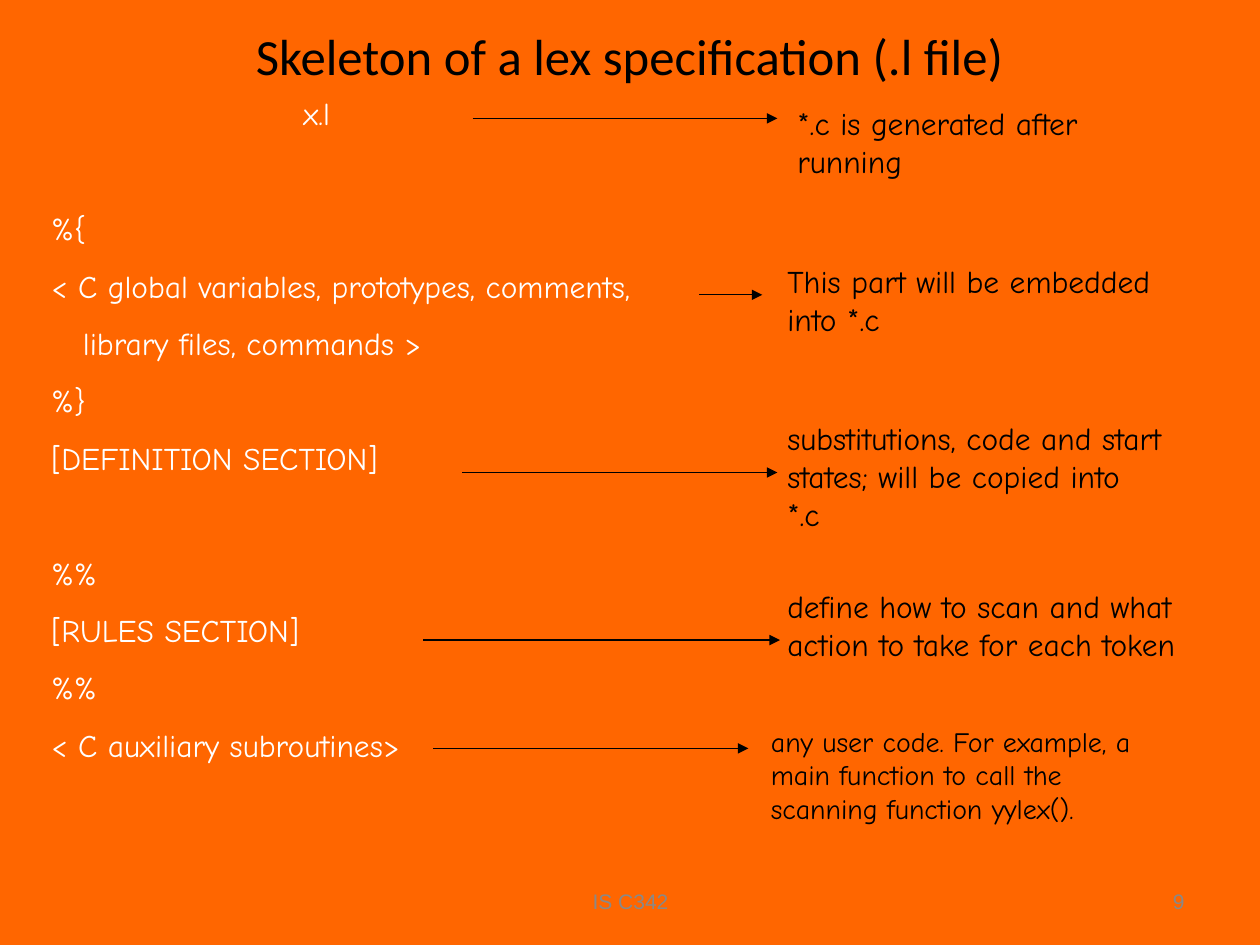
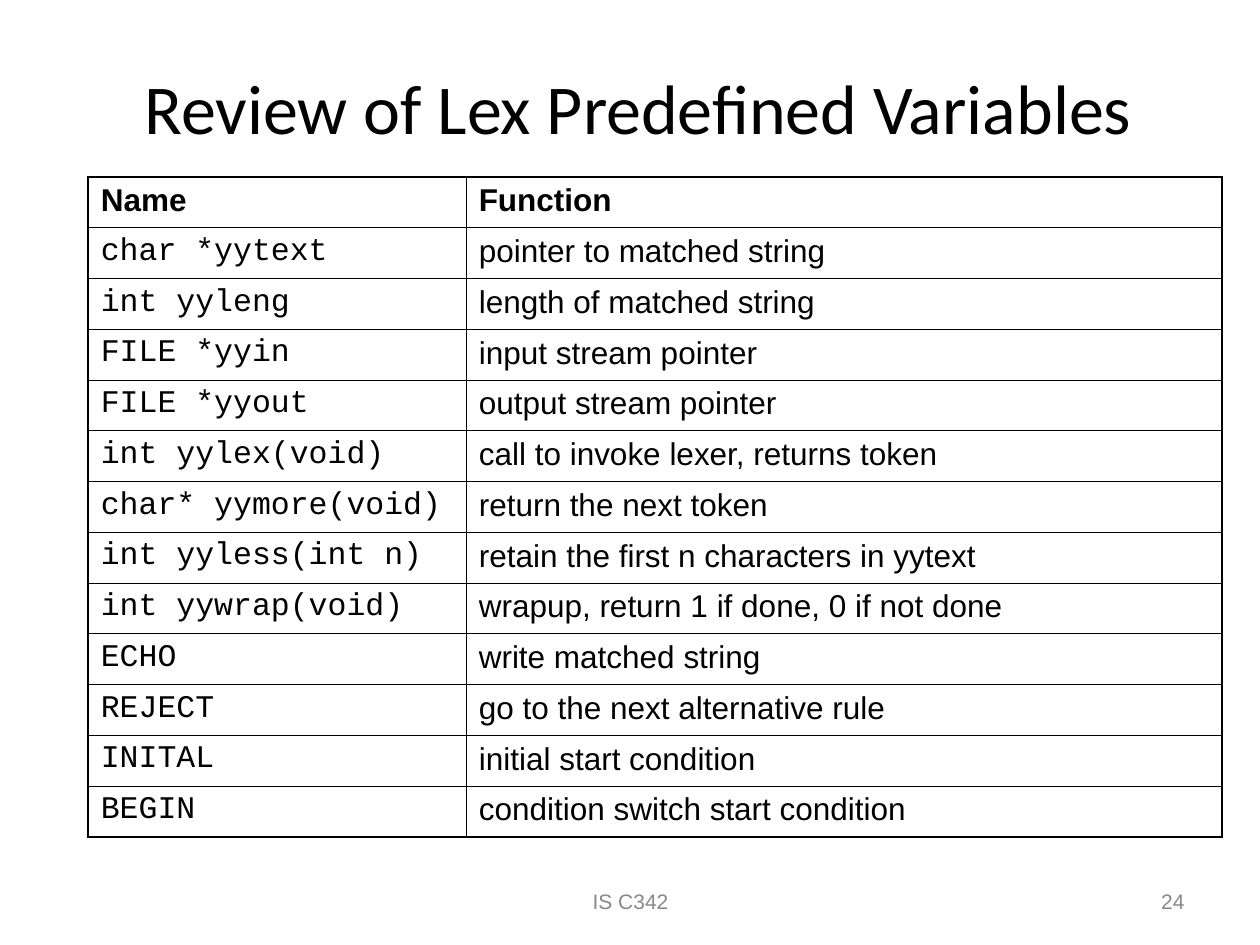
from dataclasses import dataclass

from lxml import etree
from pptx import Presentation
from pptx.dml.color import RGBColor
from pptx.enum.shapes import MSO_CONNECTOR
from pptx.enum.text import MSO_ANCHOR, PP_ALIGN
from pptx.oxml.ns import qn
from pptx.util import Pt

LEFT, CENTER, RIGHT = PP_ALIGN.LEFT, PP_ALIGN.CENTER, PP_ALIGN.RIGHT
TOP, MIDDLE = MSO_ANCHOR.TOP, MSO_ANCHOR.MIDDLE
STRAIGHT = MSO_CONNECTOR.STRAIGHT


@dataclass(frozen=True)
class Theme:
    orange: str = "FF6600"
    white: str = "FFFFFF"
    black: str = "000000"
    grey: str = "898989"
    title_font: str = "Calibri"
    note_font: str = "Comic Neue"
    body_font: str = "Arial"
    code_font: str = "Courier New"
    body_size: float = 18
    small_size: float = 16
    footer_size: float = 12
    paragraph_gap: float = 11.2
    line_height: float = 21.6
    arrow_line: float = 0.75
    inner_line: float = 0.45
    outer_line: float = 1.08


class Deck:
    def __init__(self, theme):
        self.theme = theme
        self.prs = Presentation()
        self.prs.slide_width, self.prs.slide_height = Pt(720), Pt(540)
        self.slide = None

    def new_slide(self, background, number):
        self.slide = self.prs.slides.add_slide(self.prs.slide_layouts[6])
        fill = self.slide.background.fill
        fill.solid()
        fill.fore_color.rgb = RGBColor.from_string(background)
        # Footer and slide number
        t = self.theme
        for text, left, width, align in (("IS C342", 246.24, 228.24, CENTER),
                                         (str(number), 516.24, 167.76, RIGHT)):
            tf = self.text_frame((left, 500.4, width, 28.8), MIDDLE)
            self.set_text(tf.paragraphs[0], text, t.body_font, t.footer_size, t.grey, align)

    def text_frame(self, box, anchor=TOP):
        tf = self.slide.shapes.add_textbox(*map(Pt, box)).text_frame
        tf.word_wrap = True
        tf.vertical_anchor = anchor
        return tf

    def set_text(self, p, text, font, size, color, align=LEFT, bold=False):
        p.text = text
        p.alignment = align
        p.font.name, p.font.size, p.font.bold = font, Pt(size), bold
        p.font.color.rgb = RGBColor.from_string(color)

    def title(self, text, box, size):
        p = self.text_frame(box, MIDDLE).paragraphs[0]
        self.set_text(p, text, self.theme.title_font, size, self.theme.black, CENTER)

    def note(self, text, box, size):
        p = self.text_frame(box).paragraphs[0]
        self.set_text(p, text, self.theme.note_font, size, self.theme.black)

    def outline(self, lines, box):
        """Lines are (text, indent, number of skipped lines above)."""
        t = self.theme
        tf = self.text_frame(box)
        for i, (text, indent, skipped) in enumerate(lines):
            p = tf.add_paragraph() if i else tf.paragraphs[0]
            p._p.get_or_add_pPr().set("marL", str(Pt(indent)))
            if i:
                gap = t.paragraph_gap + skipped * (t.paragraph_gap + t.line_height)
                p.space_before = Pt(gap)
            self.set_text(p, text, t.note_font, t.body_size, t.white)

    def arrow(self, start, end, y):
        sp = self.slide.shapes.add_connector(STRAIGHT, Pt(start), Pt(y), Pt(end), Pt(y))
        sp.line.color.rgb = RGBColor.from_string(self.theme.black)
        sp.line.width = Pt(self.theme.arrow_line)
        ln = sp._element.spPr.find(qn("a:ln"))
        etree.SubElement(ln, qn("a:tailEnd"), type="triangle")
        etree.SubElement(sp._element.spPr, qn("a:effectLst"))

    def border(self, cell, side, width):
        ln = etree.SubElement(cell._tc.get_or_add_tcPr(), qn(f"a:ln{side}"), w=str(Pt(width)))
        fill = etree.SubElement(ln, qn("a:solidFill"))
        etree.SubElement(fill, qn("a:srgbClr"), val=self.theme.black)

    def table(self, rows, left, top, widths, row_height):
        t = self.theme
        last_row, last_col = len(rows) - 1, len(widths) - 1
        table = self.slide.shapes.add_table(
            len(rows), len(widths), Pt(left), Pt(top),
            Pt(sum(widths)), Pt(row_height * len(rows))).table
        table.first_row = table.horz_banding = False
        for column, width in zip(table.columns, widths):
            column.width = Pt(width)
        for i, row in enumerate(rows):
            table.rows[i].height = Pt(row_height)
            for j, text in enumerate(row):
                cell = table.cell(i, j)
                # Heavier lines on the outer edge
                edges = {"L": j == 0, "R": j == last_col, "T": i == 0, "B": i == last_row}
                for side, outer in edges.items():
                    self.border(cell, side, t.outer_line if outer else t.inner_line)
                cell.fill.solid()
                cell.fill.fore_color.rgb = RGBColor.from_string(t.white)
                font = t.code_font if i and j == 0 else t.body_font
                self.set_text(cell.text_frame.paragraphs[0], text, font, t.body_size,
                              t.black, bold=i == 0)


def skeleton_slide(deck):
    t = deck.theme
    deck.new_slide(t.orange, 9)
    deck.title("Skeleton of a lex specification (.l file)", (36, 12.24, 648, 38.88), 29)

    # Sections of the .l file
    deck.outline([
        ("x.l", 144, 0),
        ("%{", 0, 1),
        ("< C global variables, prototypes, comments,", 0, 0),
        ("library files, commands >", 18, 0),
        ("%}", 0, 0),
        ("[DEFINITION SECTION]", 0, 0),
        ("%%", 0, 1),
        ("[RULES SECTION]", 0, 0),
        ("%%", 0, 0),
        ("< C auxiliary subroutines>", 0, 0),
    ], (22.32, 50.4, 697.68, 390.24))

    # Notes: text, box, size, then the arrow's start, end and height
    notes = [
        ("*.c is generated after running",
         (448.56, 56.16, 228.24, 50.4), t.body_size, (270, 444.24, 67.68)),
        ("This part will be embedded into *.c",
         (442.8, 146.16, 228.24, 50.4), t.body_size, (399.6, 435.6, 168.48)),
        ("substitutions, code and start states; will be copied into *.c",
         (442.8, 236.16, 228.24, 72), t.body_size, (264.24, 444.24, 270)),
        ("define how to scan and what action to take for each token",
         (442.8, 331.92, 239.76, 50.4), t.body_size, (241.92, 445.68, 365.76)),
        ("any user code. For example, a main function to call the scanning function yylex().",
         (433.44, 410.4, 239.76, 64.8), t.small_size, (247.68, 427.68, 427.68)),
    ]
    for text, box, size, arrow in notes:
        deck.note(text, box, size)
        deck.arrow(*arrow)


def variables_slide(deck):
    deck.new_slide(deck.theme.white, 24)
    deck.title("Review of Lex Predefined Variables", (9.36, 0, 710.64, 121.68), 40)
    deck.table([
        ("Name", "Function"),
        ("char *yytext", "pointer to matched string"),
        ("int yyleng", "length of matched string"),
        ("FILE *yyin", "input stream pointer"),
        ("FILE *yyout", "output stream pointer"),
        ("int yylex(void)", "call to invoke lexer, returns token"),
        ("char* yymore(void)", "return the next token"),
        ("int yyless(int n)", "retain the first n characters in yytext"),
        ("int yywrap(void)", "wrapup, return 1 if done, 0 if not done"),
        ("ECHO", "write matched string"),
        ("REJECT", "go to the next alternative rule"),
        ("INITAL", "initial start condition"),
        ("BEGIN", "condition switch start condition"),
    ], left=50.4, top=101.2, widths=(216, 432), row_height=29)


def main():
    deck = Deck(Theme())
    skeleton_slide(deck)
    variables_slide(deck)
    deck.prs.save("out.pptx")


if __name__ == "__main__":
    main()
